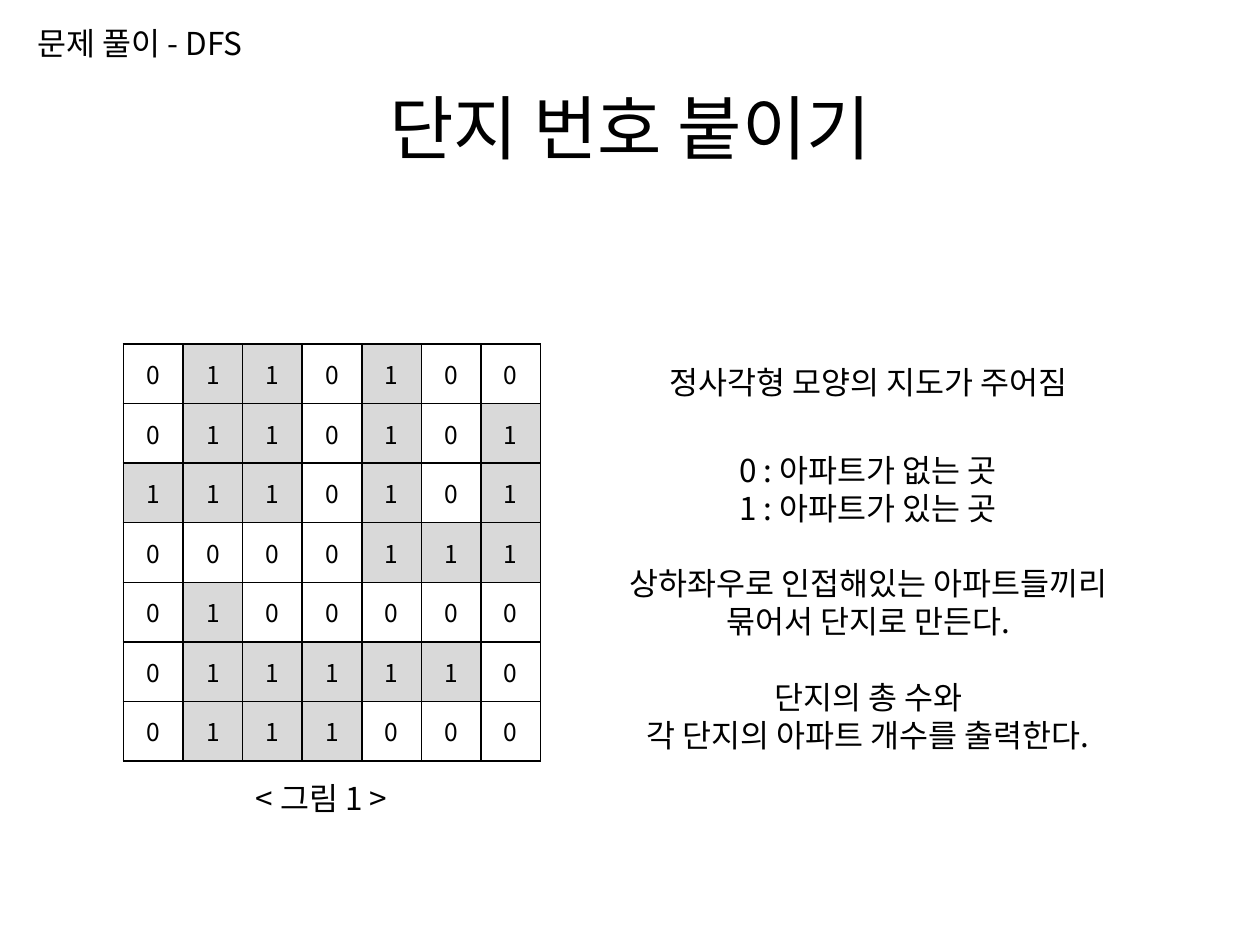
"""Build the slide that introduces the apartment complex numbering problem."""
from dataclasses import dataclass

from lxml.etree import SubElement
from pptx import Presentation
from pptx.dml.color import RGBColor
from pptx.enum.text import MSO_ANCHOR, PP_ALIGN
from pptx.oxml.ns import qn
from pptx.util import Inches, Pt


@dataclass(frozen=True)
class Theme:
    font: str = "Noto Sans CJK KR"
    ink: str = "000000"
    apartment: str = "D9D9D9"
    title: float = 40
    body: float = 18
    cell: float = 14
    line: float = 21.6
    border: float = 1


THEME = Theme()
TITLE = "단지 번호 붙이기"
APARTMENT_MAP = [
    "0110100",
    "0110101",
    "1110101",
    "0000111",
    "0100000",
    "0111110",
    "0111000",
]
MAP_LEFT, MAP_TOP, MAP_SIDE = 0.98, 2.73, 3.31

NOTES = [
    ((0.2, 0.12, 2.83, 0.4), PP_ALIGN.LEFT, [["문제 풀이 - DFS"]]),
    ((4.92, 2.81, 3.94, 0.4), PP_ALIGN.CENTER, [["정사각형 모양의 지도가 주어짐"]]),
    ((4.57, 3.51, 4.64, 2.52), PP_ALIGN.CENTER, [
        ["0 : 아파트가 없는 곳", "1 : 아파트가 있는 곳"],
        ["상하좌우로 인접해있는 아파트들끼리 묶어서 단지로 만든다."],
        ["단지의 총 수와", "각 단지의 아파트 개수를 출력한다."],
    ]),
    ((1.93, 6.11, 1.5, 0.4), PP_ALIGN.LEFT, [["< 그림 1 >"]]),
]


def write(paragraph, words, size, align):
    paragraph.alignment = align
    run = paragraph.add_run()
    run.text = words
    run.font.size = Pt(size)
    run.font.name = THEME.font
    run.font.color.rgb = RGBColor.from_string(THEME.ink)
    SubElement(run.font._element, qn("a:ea"), typeface=THEME.font)


def add_note(slide, place, align, groups):
    frame = slide.shapes.add_textbox(*map(Inches, place)).text_frame
    frame.word_wrap = True
    frame.margin_top = Inches(0.07)
    lines = [(words, group > 0 and order == 0)
             for group, sentences in enumerate(groups)
             for order, words in enumerate(sentences)]
    for index, (words, opens_group) in enumerate(lines):
        paragraph = frame.add_paragraph() if index else frame.paragraphs[0]
        paragraph.line_spacing = Pt(THEME.line)
        paragraph.space_before = Pt(THEME.line if opens_group else 0)
        write(paragraph, words, THEME.body, align)


def add_borders(cell):
    properties = cell._tc.get_or_add_tcPr()
    for position, side in enumerate(("a:lnL", "a:lnR", "a:lnT", "a:lnB")):
        border = SubElement(properties, qn(side), w=str(Pt(THEME.border)))
        SubElement(SubElement(border, qn("a:solidFill")), qn("a:srgbClr"), val=THEME.ink)
        properties.insert(position, border)


def add_map(slide):
    count = len(APARTMENT_MAP)
    grid = slide.shapes.add_table(
        count, count, Inches(MAP_LEFT), Inches(MAP_TOP), Inches(MAP_SIDE), Inches(MAP_SIDE)
    ).table
    grid.first_row = grid.horz_banding = False
    for row, values in enumerate(APARTMENT_MAP):
        grid.rows[row].height = grid.columns[row].width = Inches(MAP_SIDE / count)
        for column, value in enumerate(values):
            cell = grid.cell(row, column)
            cell.vertical_anchor = MSO_ANCHOR.MIDDLE
            cell.margin_left = cell.margin_right = Inches(0.08)
            cell.margin_top = cell.margin_bottom = Inches(0.04)
            if value == "1":
                cell.fill.solid()
                cell.fill.fore_color.rgb = RGBColor.from_string(THEME.apartment)
            else:
                cell.fill.background()
            add_borders(cell)
            write(cell.text_frame.paragraphs[0], value, THEME.cell, PP_ALIGN.CENTER)


deck = Presentation()
deck.slide_width, deck.slide_height = Inches(10), Inches(7.5)
slide = deck.slides.add_slide(deck.slide_layouts.get_by_name("Title Only"))

title = slide.shapes.title
title.left, title.top, title.width, title.height = map(Inches, (0.5, 0.38, 9, 1.25))
title.text_frame.vertical_anchor = MSO_ANCHOR.MIDDLE
write(title.text_frame.paragraphs[0], TITLE, THEME.title, PP_ALIGN.CENTER)

add_map(slide)
for place, align, groups in NOTES:
    add_note(slide, place, align, groups)

deck.save("out.pptx")
